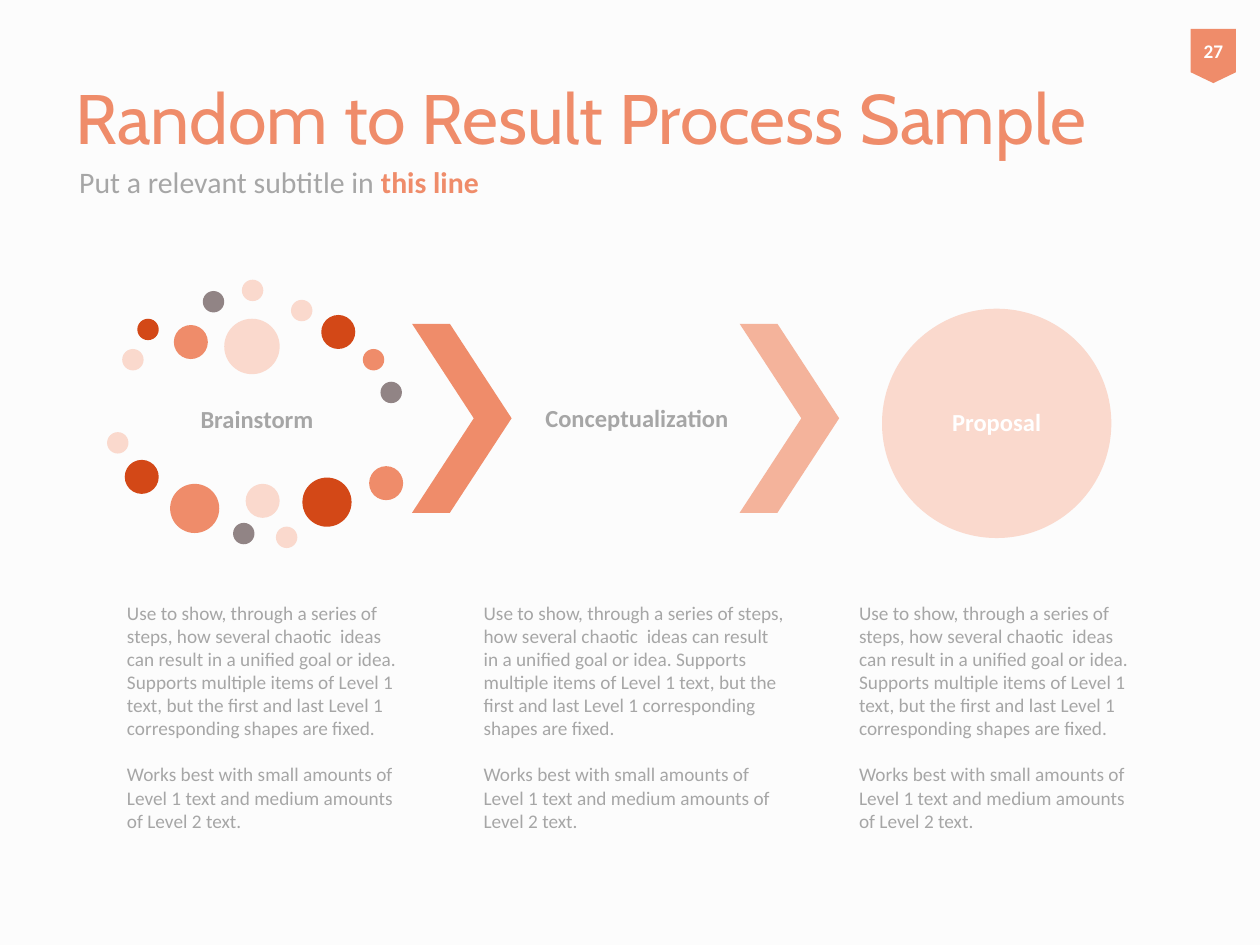
from pptx import Presentation
from pptx.dml.color import RGBColor
from pptx.enum.shapes import MSO_SHAPE
from pptx.enum.text import MSO_ANCHOR, PP_ALIGN
from pptx.util import Inches, Pt

CORAL, PEACH, BLUSH = "EF8C6A", "F4B39B", "FAD9CD"
RUST, TAUPE, GRAY, WHITE = "D34817", "918485", "A6A6A6", "FFFFFF"
SMALL, MEDIUM, LARGE, HUGE = 0.17, 0.27, 0.39, 0.44

BUBBLES = [
    (0.97, 2.77, SMALL, BLUSH), (1.09, 2.53, SMALL, RUST),
    (1.38, 2.58, MEDIUM, CORAL), (1.61, 2.31, SMALL, TAUPE),
    (1.92, 2.22, SMALL, BLUSH), (2.31, 2.38, SMALL, BLUSH),
    (2.55, 2.5, MEDIUM, RUST), (2.88, 2.77, SMALL, CORAL),
    (3.02, 3.03, SMALL, TAUPE), (1.78, 2.53, HUGE, BLUSH),
    (0.85, 3.43, SMALL, BLUSH), (0.99, 3.65, MEDIUM, RUST),
    (1.35, 3.84, LARGE, CORAL), (1.85, 4.15, SMALL, TAUPE),
    (1.95, 3.84, MEDIUM, BLUSH), (2.19, 4.18, SMALL, BLUSH),
    (2.4, 3.79, LARGE, RUST), (2.93, 3.7, MEDIUM, CORAL),
]
DESCRIPTION = [
    "Use to show, through a series of steps, how several chaotic  ideas can "
    "result in a unified goal or idea. Supports multiple items of Level 1 text, "
    "but the first and last Level 1 corresponding shapes are fixed.",
    "Works best with small amounts of Level 1 text and medium amounts of "
    "Level 2 text.",
]


def rgb(value):
    return RGBColor.from_string(value)


class Deck:
    font = "Calibri"

    def __init__(self, prs):
        self.s = prs.slides.add_slide(prs.slide_layouts[6])
        fill = self.s.background.fill
        fill.solid()
        fill.fore_color.rgb = rgb("FCFCFC")

    def fill_text(self, sp, paragraphs, anchor=MSO_ANCHOR.MIDDLE, inset=None, **layout):
        tf = sp.text_frame
        tf.word_wrap = True
        tf.vertical_anchor = anchor
        if inset is not None:
            for side in ("left", "right", "top", "bottom"):
                setattr(tf, f"margin_{side}", Inches(inset))
        for i, runs in enumerate(paragraphs):
            p = tf.add_paragraph() if i else tf.paragraphs[0]
            for name, value in layout.items():
                if i or name != "space_before":
                    setattr(p, name, value)
            for text, size, color, style in runs:
                r = p.add_run()
                r.text = text
                r.font.color.rgb = rgb(color)
                for name, value in {"name": self.font, "size": Pt(size), **style}.items():
                    setattr(r.font, name, value)

    def text(self, box, paragraphs, **layout):
        sp = self.s.shapes.add_textbox(*map(Inches, box))
        self.fill_text(sp, paragraphs, **layout)

    def shape(self, kind, box, color, adjust=None):
        sp = self.s.shapes.add_shape(kind, *map(Inches, box))
        sp.shadow.inherit = False
        sp.fill.solid()
        sp.fill.fore_color.rgb = rgb(color)
        sp.line.fill.background()
        if adjust is not None:
            sp.adjustments[0] = adjust
        return sp

    def circle(self, left, top, size, color):
        return self.shape(MSO_SHAPE.OVAL, (left, top, size, size), color)

    def chevron(self, left, color):
        return self.shape(MSO_SHAPE.CHEVRON, (left, 2.57, 0.79, 1.5), color, 0.62)


def main():
    prs = Presentation()
    prs.slide_width, prs.slide_height = Inches(10), Inches(7.5)
    deck = Deck(prs)
    bold = {"bold": True}
    label = {"inset": 0.02, "alignment": PP_ALIGN.CENTER, "line_spacing": 0.9}

    deck.text((0.5, 0.3, 8.83, 1.25),
              [[("Random to Result Process Sample", 40, CORAL, {"name": "Cabin"})]])
    deck.text((0.53, 1.18, 4.79, 0.53),
              [[("Put a relevant subtitle in ", 17, GRAY, {}),
                ("this line", 17, CORAL, bold)]])

    deck.text((0.97, 2.98, 2.14, 0.71), [[("Brainstorm", 14, GRAY, bold)]], **label)
    for bubble in BUBBLES:
        deck.circle(*bubble)
    deck.chevron(3.27, CORAL)
    deck.text((3.98, 2.58, 2.15, 1.5), [[("Conceptualization", 14, GRAY, bold)]], **label)
    deck.chevron(5.87, PEACH)
    proposal = deck.circle(7, 2.45, 1.82, BLUSH)
    deck.fill_text(proposal, [[("Proposal", 14, WHITE, bold)]], **label)

    for left, width in ((0.91, 2.46), (3.74, 2.6), (6.72, 2.46)):
        deck.text((left, 4.72, width, 1.95),
                  [[(text, 11, GRAY, {})] for text in DESCRIPTION],
                  anchor=MSO_ANCHOR.TOP, space_before=Pt(13.2))

    badge = deck.shape(MSO_SHAPE.FLOWCHART_OFFPAGE_CONNECTOR,
                       (9.45, 0.23, 0.36, 0.43), CORAL)
    deck.fill_text(badge, [[("27", 11, WHITE, bold)]], inset=0, alignment=PP_ALIGN.CENTER)
    prs.save("out.pptx")


if __name__ == "__main__":
    main()
